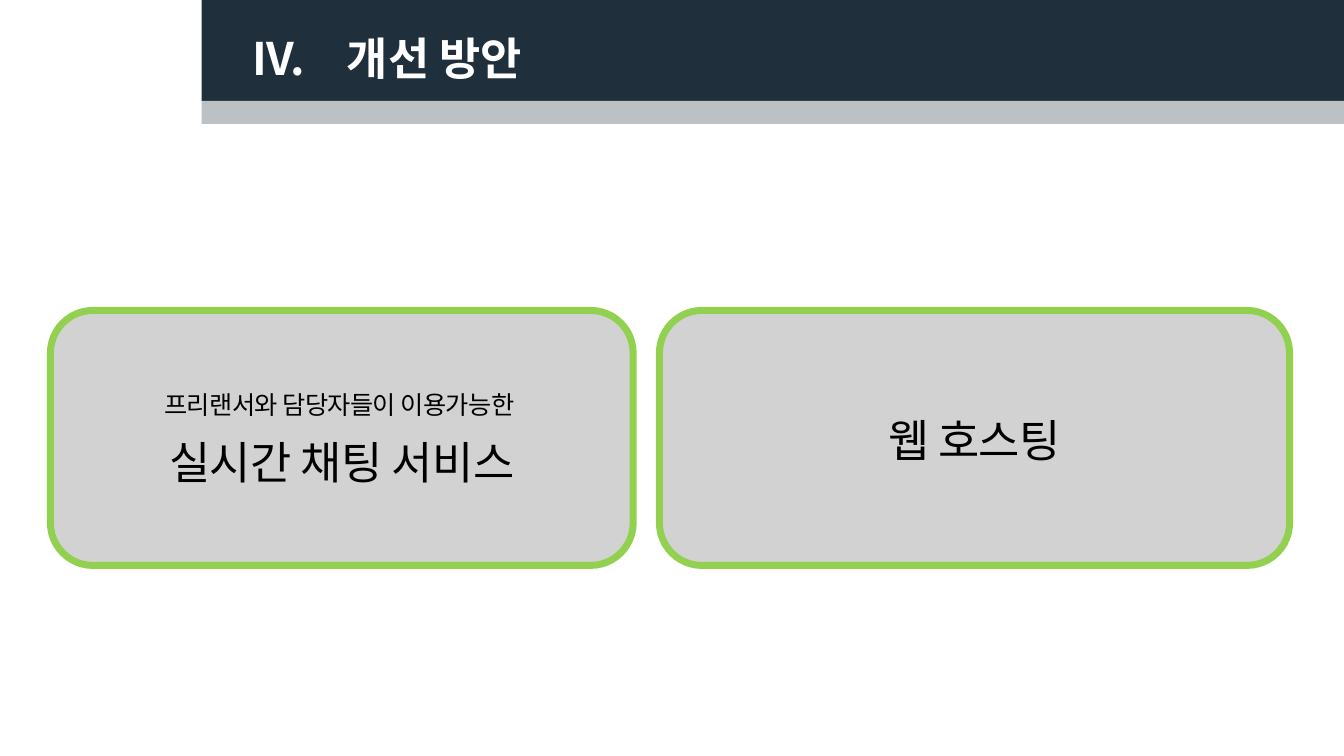
from dataclasses import dataclass

from lxml.etree import SubElement as Sub
from pptx import Presentation
from pptx.dml.color import RGBColor as RGB
from pptx.enum.shapes import MSO_SHAPE as Shape
from pptx.enum.text import MSO_ANCHOR as Anchor, MSO_AUTO_SIZE as Fit, PP_ALIGN as Align
from pptx.oxml.ns import qn
from pptx.util import Inches, Pt


@dataclass(frozen=True)
class Theme:
    face: str = "Noto Sans CJK KR"
    navy: str = "1F2F3C"
    white: str = "FFFFFF"
    gray: str = "B5B5B5"
    green: str = "92D050"
    black: str = "000000"
    large: int = 32
    small: int = 18
    edge: int = 5


def put(item, **vals):
    for key, val in vals.items():
        setattr(item, key, val)


class Deck:
    def __init__(self, theme):
        self.theme = theme
        self.prs = Presentation()
        put(self.prs, slide_width=Inches(13.33), slide_height=Inches(7.5))
        self.slide = self.prs.slides.add_slide(self.prs.slide_layouts[5])

    def box(self, kind, place, color, alpha=100):
        shape = self.slide.shapes.add_shape(kind, *map(Inches, place))
        shape.shadow.inherit = False
        shape.fill.solid()
        shape.fill.fore_color.rgb = RGB.from_string(color)
        shape.line.fill.background()
        if alpha < 100:
            tint = shape._element.spPr.find(qn("a:solidFill"))[0]
            Sub(tint, qn("a:alpha"), val=str(alpha * 1000))
        return shape

    def label(self, para, text, size, color, bold=False, track=0):
        run = para.add_run()
        run.text = text
        put(run.font, name=self.theme.face, size=Pt(size), bold=bold)
        run.font.color.rgb = RGB.from_string(color)
        props = run._r.get_or_add_rPr()
        Sub(props, qn("a:ea"), typeface=self.theme.face)
        if track:
            props.set("spc", str(track))

    def title(self, text, place, start):
        head = self.slide.shapes.title
        self.slide.shapes._spTree.append(head._element)  # bring to front
        put(head, **dict(zip(("left", "top", "width", "height"), map(Inches, place))))
        frame = head.text_frame
        put(frame, vertical_anchor=Anchor.MIDDLE, word_wrap=True, auto_size=Fit.NONE)
        para = frame.paragraphs[0]
        put(para, alignment=Align.LEFT, line_spacing=0.9)
        props = para._p.get_or_add_pPr()
        props.set("marL", str(Inches(0.94)))
        props.set("indent", str(-Inches(0.94)))
        Sub(props, qn("a:buFont"), typeface="+mj-lt")
        Sub(props, qn("a:buAutoNum"), type="romanUcPeriod", startAt=str(start))
        self.label(para, text, self.theme.large, self.theme.white, bold=True)

    def card(self, place, lines):
        look = self.theme
        shape = self.box(Shape.ROUNDED_RECTANGLE, place, look.gray, 60)
        shape.line.color.rgb = RGB.from_string(look.green)
        shape.line.width = Pt(look.edge)
        frame = shape.text_frame
        put(frame, vertical_anchor=Anchor.MIDDLE, word_wrap=True)
        for num, (text, size) in enumerate(lines):
            para = frame.add_paragraph() if num else frame.paragraphs[0]
            put(para, alignment=Align.CENTER, line_spacing=1.07, space_after=Pt(8))
            self.label(para, text, size, look.black, track=-40)


def main():
    theme = Theme()
    deck = Deck(theme)

    # Header band and title
    deck.box(Shape.RECTANGLE, (2, 0, 11.34, 1.23), theme.navy)
    deck.box(Shape.RECTANGLE, (0, 1, 13.33, 0.23), theme.white, 70)
    deck.title("개선 방안", (2.4, -0.12, 10.93, 1.45), start=4)

    # Improvement cards
    cards = [
        (0.5, 5.78, [("프리랜서와 담당자들이 이용가능한 ", theme.small),
                     ("실시간 채팅 서비스", theme.large)]),
        (6.54, 6.25, [("웹 호스팅", theme.large)]),
    ]
    for left, width, lines in cards:
        deck.card((left, 3.08, width, 2.53), lines)

    deck.prs.save("out.pptx")


if __name__ == "__main__":
    main()
